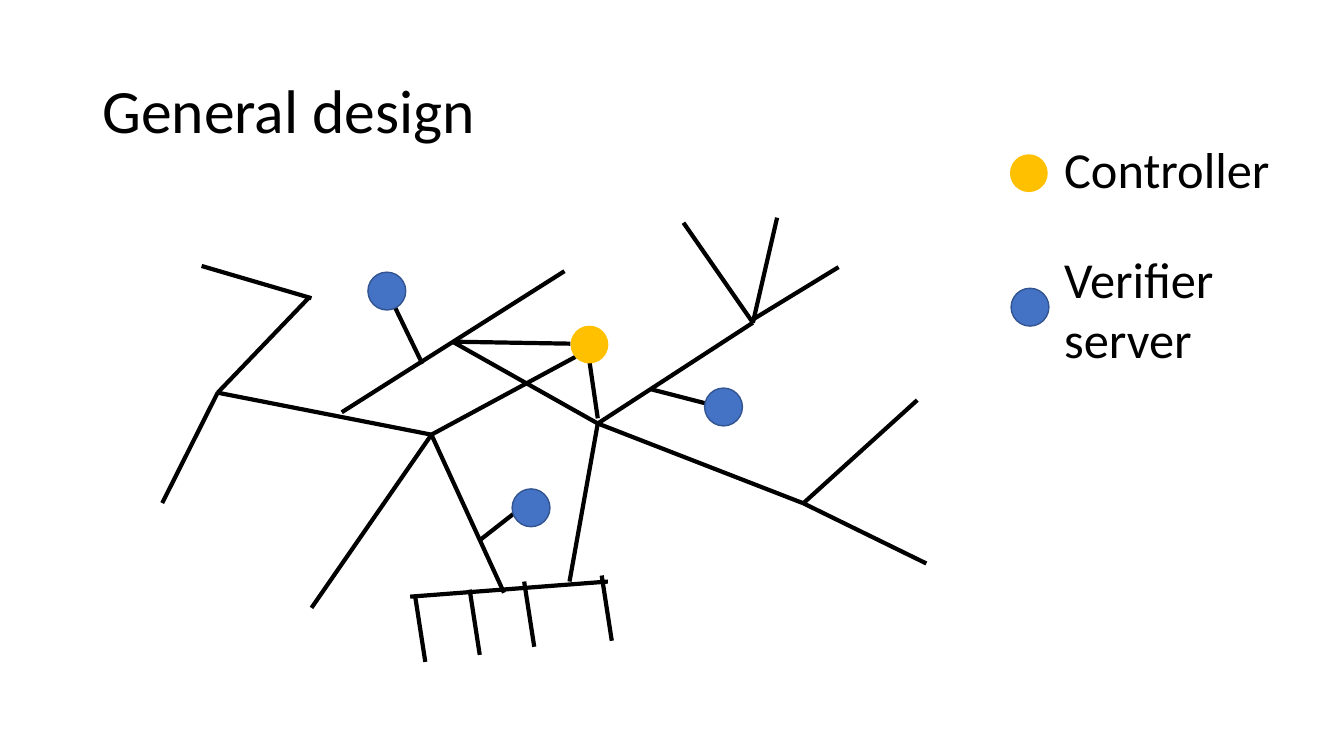
from collections import namedtuple

from lxml.etree import SubElement
from pptx import Presentation
from pptx.dml.color import RGBColor
from pptx.enum.shapes import MSO_CONNECTOR, MSO_SHAPE
from pptx.enum.text import MSO_ANCHOR
from pptx.oxml.ns import qn
from pptx.util import Pt

Box = namedtuple("Box", "left top width height")

BLACK, BLUE, BLUE_EDGE, GOLD = "000000", "4472C4", "325491", "FFC000"
DOT_SIZE = 27

WEST, SOUTHWEST, CENTER = (40.5, 125.5), (193.2, 155.5), (312, 147.5)
NORTHEAST, EAST, CROSSING = (422.8, 75.5), (458.8, 204.5), (208.3, 89.1)
LINKS = [
    ((29, 35), (107.5, 58)),
    (WEST, (105.3, 58)),
    (SOUTHWEST, WEST),
    ((0.9, 204.3), WEST),
    ((288.2, 38.7), (129.1, 139.5)),
    (CROSSING, CENTER),
    (SOUTHWEST, (107.5, 279.2)),
    (SOUTHWEST, (245, 268.4)),
    ((178, 271.2), (319.2, 260.4)),
    (CENTER, (291.8, 260.4)),
    (CENTER, NORTHEAST),
    (CENTER, EAST),
    ((373.2, 4.1), NORTHEAST),
    ((440.1, 0.5), NORTHEAST),
    ((484, 35.8), (422.8, 73.2)),
    ((540.2, 130.8), EAST),
    ((546.7, 247.5), EAST),
    ((165.1, 60.3), (186.7, 104.9)),
    ((227.7, 230.9), (254.4, 210)),
    ((349.4, 122.9), (394, 134.4)),
]
BUS_TAPS = [(181.6, 271.2), (220.5, 266.2), (259.4, 260.4), (314.8, 256.1)]
TAP_RUN, TAP_DROP = 7.2, 46.6
CONTROLLER_LINKS = [
    ((306.2, 104.2), (312, 143.8)),
    ((292.5, 90.5), (210.4, 89.1)),
    ((296.1, 99.9), SOUTHWEST),
]
VERIFIERS = [(147.8, 39.4), (250.8, 194.2), (388.3, 122.2)]
CONTROLLER = (292.5, 77.6)


def color(value):
    """Turn a hex string into a colour."""
    return RGBColor.from_string(value)


def add_text(page, box, text, size=36, font="Calibri", ink=BLACK,
             anchor=MSO_ANCHOR.TOP, spacing=1.0):
    """Write one formatted paragraph in a wrapping text box."""
    frame = page.shapes.add_textbox(*map(Pt, box)).text_frame
    frame.word_wrap = True
    frame.vertical_anchor = anchor
    para = frame.paragraphs[0]
    para.text = text
    para.line_spacing = spacing
    for span in para.runs:
        span.font.size = Pt(size)
        span.font.name = font
        span.font.color.rgb = color(ink)


def add_link(page, box, start, end):
    """Draw one network link between two points of the box."""
    ends = [Pt(offset + value) for point in (start, end)
            for offset, value in zip((box.left, box.top), point)]
    link = page.shapes.add_connector(MSO_CONNECTOR.STRAIGHT, *ends)
    link.line.width = Pt(3)
    link.line.color.rgb = color(BLACK)
    SubElement(link._element.spPr, qn("a:effectLst"))


def add_dot(page, box, point, fill, edge=None):
    """Draw one round node at a point of the box."""
    left, top = box.left + point[0], box.top + point[1]
    dot = page.shapes.add_shape(MSO_SHAPE.OVAL, Pt(left), Pt(top),
                                Pt(DOT_SIZE), Pt(DOT_SIZE))
    dot.shadow.inherit = False
    dot.fill.solid()
    dot.fill.fore_color.rgb = color(fill)
    if edge:
        dot.line.width = Pt(1)
        dot.line.color.rgb = color(edge)
    else:
        dot.line.fill.background()


def add_title(page, box):
    """Place the slide title."""
    add_text(page, box, "General design", size=44,
             anchor=MSO_ANCHOR.MIDDLE, spacing=0.9)


def add_network(page, box):
    """Draw the links, bus taps, verifiers and controller."""
    taps = [((x, y), (x + TAP_RUN, y + TAP_DROP)) for x, y in BUS_TAPS]
    for start, end in LINKS + taps + CONTROLLER_LINKS:
        add_link(page, box, start, end)
    for point in VERIFIERS:
        add_dot(page, box, point, BLUE, BLUE_EDGE)
    add_dot(page, box, CONTROLLER, GOLD)


def add_legend(page, box):
    """Explain the two kinds of node."""
    entries = [
        ("Controller", 0, 51, (0.4, 15.2), GOLD, None),
        ("Verifier\vserver", 78.5, 94.5, (1.2, 110.9), BLUE, BLUE_EDGE),
    ]
    indent = 32
    for label, top, height, point, fill, edge in entries:
        add_dot(page, box, point, fill, edge)
        add_text(page, Box(box.left + indent, box.top + top,
                           box.width - indent, height), label)


def main():
    """Build and save the deck."""
    deck = Presentation()
    deck.slide_width, deck.slide_height = Pt(960), Pt(540)
    page = deck.slides.add_slide(deck.slide_layouts[6])
    add_title(page, Box(66, 28.8, 828, 104.4))
    add_network(page, Box(115, 155, 547, 318))
    add_legend(page, Box(721, 95, 205.5, 173))
    deck.save("out.pptx")


main()
